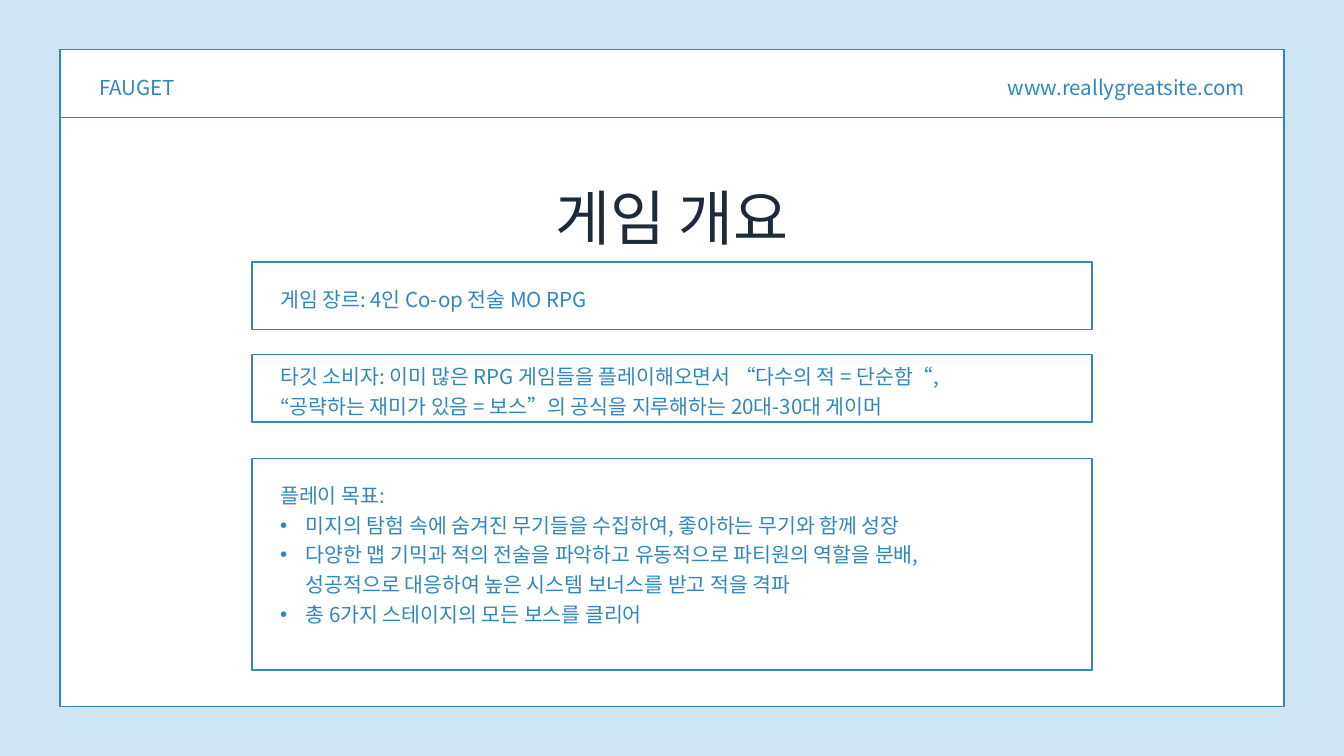
from lxml import etree
from pptx import Presentation
from pptx import util as u
from pptx.dml.color import RGBColor
from pptx.enum import shapes, text
from pptx.oxml.ns import qn

SKY = RGBColor(0xCE, 0xE6, 0xF4)
BLUE = RGBColor(0x30, 0x87, 0xBB)
NAVY = RGBColor(0x1D, 0x2A, 0x3A)
WHITE = RGBColor(0xFF, 0xFF, 0xFF)
FONT = "Noto Sans CJK KR"
LEFT, ALIGN_CENTER, RIGHT = text.PP_ALIGN.LEFT, text.PP_ALIGN.CENTER, text.PP_ALIGN.RIGHT

PANEL_LEFT, PANEL_WIDTH = 3.75, 12.5
TEXT_LEFT, TEXT_WIDTH = 4.17, 11.52
HANGING = 0.38
BODY_SPACING = 31.9

GENRE = "게임 장르: 4인 Co-op 전술 MO RPG"
TARGET = ("타깃 소비자: 이미 많은 RPG 게임들을 플레이해오면서 “다수의 적 = 단순함“,\n"
          "“공략하는 재미가 있음 = 보스”의 공식을 지루해하는 20대-30대 게이머")
GOALS = [
    "미지의 탐험 속에 숨겨진 무기들을 수집하여, 좋아하는 무기와 함께 성장",
    "다양한 맵 기믹과 적의 전술을 파악하고 유동적으로 파티원의 역할을 분배,\n"
    "성공적으로 대응하여 높은 시스템 보너스를 받고 적을 격파",
    "총 6가지 스테이지의 모든 보스를 클리어",
]


def write_paragraph(paragraph, content, size=22, color=BLUE, align=LEFT,
                    spacing=30.8, bullet=False):
    paragraph.text = content
    paragraph.alignment = align
    paragraph.line_spacing = u.Pt(spacing)
    paragraph.space_before = paragraph.space_after = u.Pt(0)
    properties = paragraph._p.get_or_add_pPr()
    indent = u.Inches(HANGING) if bullet else 0
    properties.set("marL", str(indent))
    properties.set("indent", str(-indent))
    if bullet:
        etree.SubElement(properties, qn("a:buFont"), typeface="Arial")
        etree.SubElement(properties, qn("a:buChar"), char="•")
    else:
        etree.SubElement(properties, qn("a:buNone"))
    for run in paragraph.runs:
        run.font.size = u.Pt(size)
        run.font.name = FONT
        run.font.color.rgb = color
        east_asian = etree.SubElement(run._r.get_or_add_rPr(), qn("a:ea"))
        east_asian.set("typeface", FONT)


class SlideBuilder:
    """Holds the line style and the slide being filled."""

    def __init__(self, slide, line_color=BLUE, line_width=1.5):
        self.slide = slide
        self.line_color = line_color
        self.line_width = u.Pt(line_width)

    def background(self, color):
        fill = self.slide.background.fill
        fill.solid()
        fill.fore_color.rgb = color

    def panel(self, left, top, width, height):
        shape = self.slide.shapes.add_shape(
            shapes.MSO_SHAPE.RECTANGLE, *map(u.Inches, (left, top, width, height)))
        shape.shadow.inherit = False
        shape.fill.solid()
        shape.fill.fore_color.rgb = WHITE
        shape.line.color.rgb = self.line_color
        shape.line.width = self.line_width

    def rule(self, left, right, top):
        connector = self.slide.shapes.add_connector(
            shapes.MSO_CONNECTOR.STRAIGHT, *map(u.Inches, (left, top, right, top)))
        connector.line.color.rgb = self.line_color
        connector.line.width = self.line_width
        etree.SubElement(connector._element.spPr, qn("a:effectLst"))

    def frame(self, shape, left, top, width, height):
        """Place a text shape without margins and return its text frame."""
        shape.left, shape.top, shape.width, shape.height = map(
            u.Inches, (left, top, width, height))
        frame = shape.text_frame
        frame.margin_left = frame.margin_top = frame.margin_right = frame.margin_bottom = 0
        frame.word_wrap = True
        frame.auto_size = text.MSO_AUTO_SIZE.NONE
        frame.vertical_anchor = text.MSO_ANCHOR.TOP
        return frame

    def label(self, box, content, **style):
        shape = self.slide.shapes.add_textbox(0, 0, 0, 0)
        write_paragraph(self.frame(shape, *box).paragraphs[0], content, **style)

    def title(self, box, content, **style):
        shape = self.slide.shapes.title
        self.bring_to_front(shape)
        write_paragraph(self.frame(shape, *box).paragraphs[0], content, **style)

    def bullet_list(self, box, heading, items, **style):
        shape = self.slide.placeholders[1]
        self.bring_to_front(shape)
        frame = self.frame(shape, *box)
        write_paragraph(frame.paragraphs[0], heading, **style)
        for item in items:
            write_paragraph(frame.add_paragraph(), item, bullet=True, **style)

    def bring_to_front(self, shape):
        self.slide.shapes._spTree.append(shape._element)


def main():
    presentation = Presentation()
    presentation.slide_width, presentation.slide_height = u.Inches(20), u.Inches(11.25)
    slide = presentation.slides.add_slide(presentation.slide_layouts[1])
    builder = SlideBuilder(slide)

    builder.background(SKY)
    builder.panel(0.89, 0.74, 18.22, 9.77)
    builder.rule(0.89, 19.11, 1.75)
    builder.label((14.41, 1.06, 4.11, 0.42), "www.reallygreatsite.com", align=RIGHT)
    builder.label((1.48, 1.06, 3.22, 0.42), "FAUGET")
    builder.title((6.94, 2.51, 6.13, 1.26), "게임 개요",
                  size=64, color=NAVY, align=ALIGN_CENTER, spacing=89.6)

    for top, height in ((3.9, 1), (5.28, 1), (6.82, 3.15)):
        builder.panel(PANEL_LEFT, top, PANEL_WIDTH, height)
    for top, height, content in ((4.19, 0.42, GENRE), (5.34, 0.87, TARGET)):
        builder.label((TEXT_LEFT, top, TEXT_WIDTH, height), content, spacing=BODY_SPACING)
    builder.bullet_list((TEXT_LEFT, 7.11, TEXT_WIDTH, 2.22), "플레이 목표:", GOALS,
                        spacing=BODY_SPACING)

    presentation.save("out.pptx")


if __name__ == "__main__":
    main()
